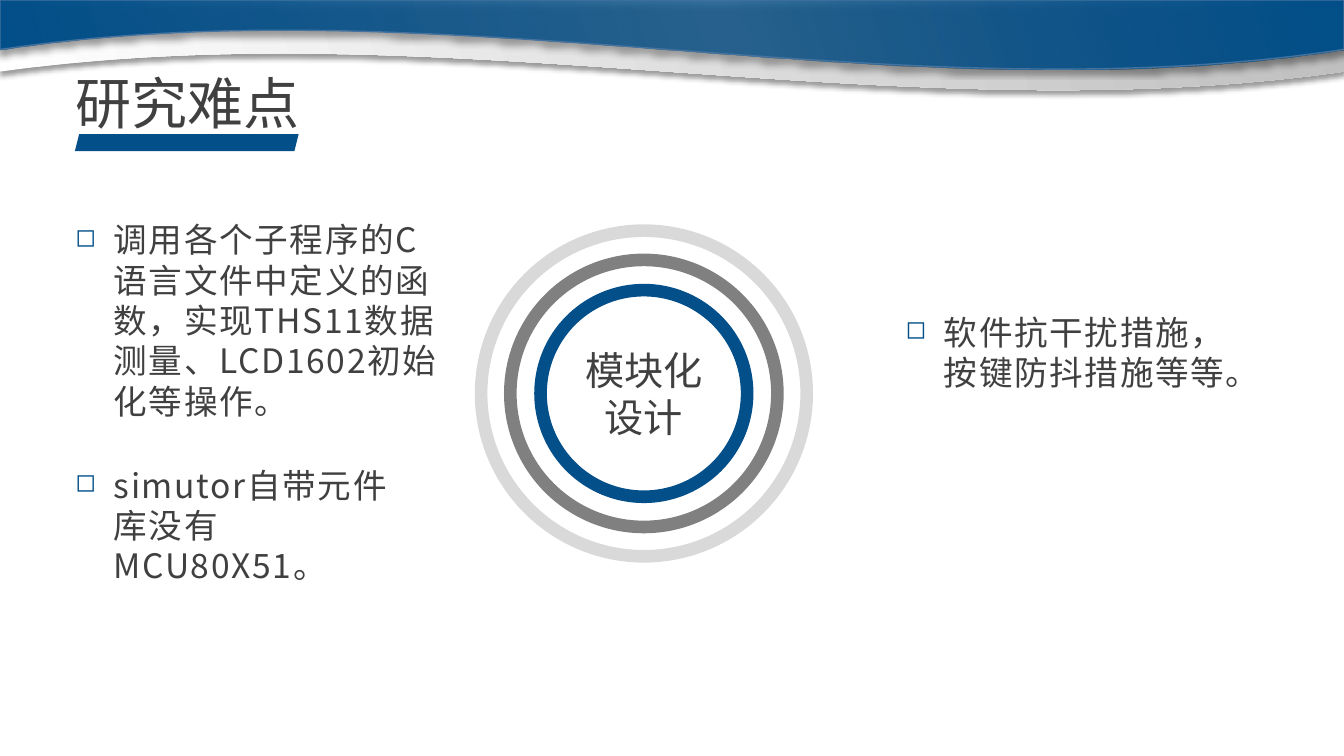
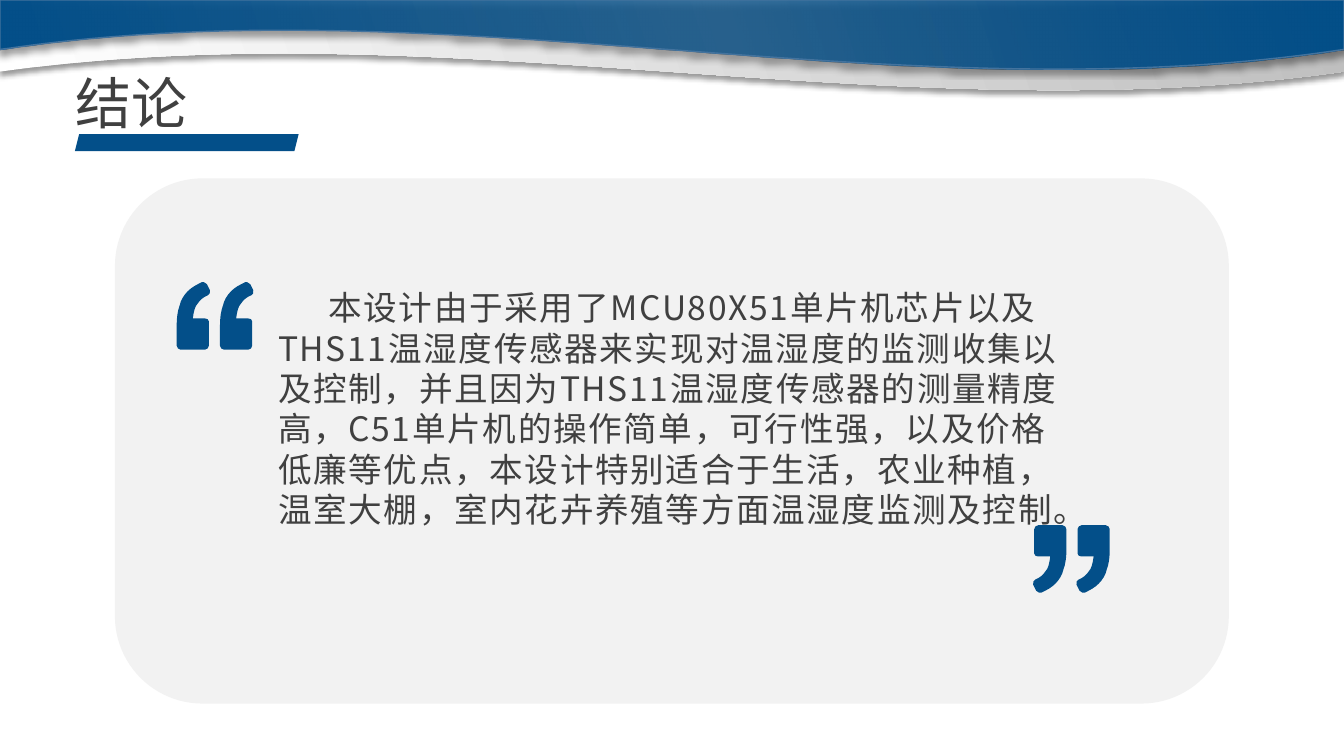
from lxml.etree import Element, SubElement
from pptx import Presentation
from pptx.dml.color import RGBColor
from pptx.enum.shapes import MSO_SHAPE
from pptx.enum.text import MSO_ANCHOR, MSO_AUTO_SIZE, PP_ALIGN
from pptx.oxml import parse_xml
from pptx.oxml.ns import nsdecls, qn
from pptx.util import Inches, Pt

W, H = Inches(40 / 3), Inches(7.5)
BLUE, EDGE, INK, GRAY, SILVER, PANEL = '034F89', '43739E', '404040', '808080', 'D9D9D9', 'F2F2F2'
FONT = 'Noto Sans CJK SC'
QUOTE = [
    (27, 0), (28, 1, 29, 1, 30, 2), (33, 8), (33, 10, 33, 13, 31, 13), (26, 15, 23, 18, 21, 21),
    (18, 24, 17, 29, 16, 36), (28, 36), (30, 36, 32, 37, 32, 39), (32, 63),
    (32, 65, 30, 67, 28, 67), (4, 67), (2, 67, 0, 65, 0, 63), (0, 44),
    (0, 35, 1, 28, 3, 23), (4, 18, 7, 13, 11, 9), (15, 5, 19, 3, 25, 0), (26, 0, 27, 0, 27, 0),
]


def rgb(color):
    return RGBColor.from_string(color)


def box(left, top, width, height):
    """Percentages of the slide's width and height to lengths."""
    return [round(v * side / 100) for v, side in zip((left, top, width, height), (W, H, W, H))]


def paint(sp, fill=None, line=None, width=1):
    sp.shadow.inherit = False
    if fill:
        sp.fill.solid()
        sp.fill.fore_color.rgb = rgb(fill)
    else:
        sp.fill.background()
    if line:
        sp.line.color.rgb = rgb(line)
        sp.line.width = Pt(width)
    else:
        sp.line.fill.background()
    return sp


def paint_gradient(sp, stops, angle):
    gs = ''.join(f'<a:gs pos="{pos * 1000}"><a:srgbClr val="{color}">'
                 f'<a:alpha val="{alpha * 1000}"/></a:srgbClr></a:gs>'
                 for pos, color, alpha in stops)
    spPr = sp.element.spPr
    spPr.replace(spPr.find(qn('a:noFill')), parse_xml(
        f'<a:gradFill {nsdecls("a")} rotWithShape="1"><a:gsLst>{gs}</a:gsLst>'
        f'<a:lin ang="{angle * 60000}" scaled="0"/></a:gradFill>'))


def cast_shadow(sp, alpha=40, blur=4, dist=3):
    sp.element.spPr.find(qn('a:effectLst')).append(parse_xml(
        f'<a:outerShdw {nsdecls("a")} blurRad="{Pt(blur)}" dist="{Pt(dist)}" dir="5400000"'
        f' algn="t" rotWithShape="0"><a:srgbClr val="000000">'
        f'<a:alpha val="{alpha * 1000}"/></a:srgbClr></a:outerShdw>'))


def add_outline(s, contours, ux, uy):
    """Contours list a start, then line ends (pairs) and cubic curves (sextuples)."""
    scaled = [[[v * (uy if i % 2 else ux) for i, v in enumerate(seg)] for seg in contour]
              for contour in contours]
    builder = s.shapes.build_freeform(*scaled[0][0], scale=1.0)
    for i, contour in enumerate(scaled):
        if i:
            builder.move_to(*contour[0])
        builder.add_line_segments([seg[-2:] for seg in contour[1:]], close=True)
    sp = builder.convert_to_shape()
    segments = [seg for contour in scaled for seg in contour[1:]]
    for node, seg in zip(list(sp.element.iter(qn('a:lnTo'))), segments):
        if len(seg) == 6:
            node.tag = qn('a:cubicBezTo')
            for i in (0, 1):
                pt = Element(qn('a:pt'))
                pt.set('x', str(round(seg[2 * i] - sp.left)))
                pt.set('y', str(round(seg[2 * i + 1] - sp.top)))
                node.insert(i, pt)
    return sp


def add_band(s, edge, curve, height, stops, line=None):
    outline = [(0, 0), (100, 0), (100, edge), curve, (0, edge), (0, 0)]
    sp = paint(add_outline(s, [outline], W / 100, H / 100), line=line)
    sp.height = round(H * height / 100)
    next(sp.element.iter(qn('a:path'))).set('h', str(sp.height))
    paint_gradient(sp, stops, 342)
    cast_shadow(sp)
    return sp


def add_shape(s, kind, place, **look):
    return paint(s.shapes.add_shape(kind, *place), **look)


def write(p, text, size, font=FONT, spacing=0):
    p.line_spacing = Pt(size * 1.2)
    r = p.add_run()
    r.text = text
    r.font.size, r.font.name, r.font.color.rgb = Pt(size), font, rgb(INK)
    rPr = r.font._element
    SubElement(rPr, qn('a:ea')).set('typeface', FONT)
    if spacing:
        rPr.set('spc', str(round(spacing * 100)))


def add_text(s, place, text, margin=0, indent=0, bullet=None):
    tf = s.shapes.add_textbox(*place).text_frame
    tf.word_wrap = True
    tf.auto_size = MSO_AUTO_SIZE.SHAPE_TO_FIT_TEXT
    p = tf.paragraphs[0]
    pPr = p._p.get_or_add_pPr()
    pPr.set('marL', str(Inches(margin)))
    pPr.set('indent', str(Inches(indent)))
    if bullet:
        SubElement(SubElement(pPr, qn('a:buClr')), qn('a:srgbClr')).set('val', BLUE)
        SubElement(pPr, qn('a:buSzPct')).set('val', '75000')
        SubElement(pPr, qn('a:buChar')).set('char', bullet)
    write(p, text, 24, spacing=1.2)


def add_ring(s, diameter, color):
    d = H * diameter / 100
    place = [round(v) for v in (W * 0.4791 - d / 2, H * 0.5205 - d / 2, d, d)]
    return add_shape(s, MSO_SHAPE.OVAL, place, line=color, width=9)


def add_quote_mark(s, left, top, rotation=0):
    twin = [[v + 43 * (i % 2 == 0) for i, v in enumerate(seg)] for seg in QUOTE]
    sp = paint(add_outline(s, [twin, QUOTE], H / 750, H / 750), fill=BLUE)
    sp.left, sp.top = box(left, top, 0, 0)[:2]
    sp.rotation = rotation


def set_title(s, text):
    p = s.shapes.title.text_frame.paragraphs[0]
    p.alignment = PP_ALIGN.JUSTIFY
    write(p, text, 40)


def dress_layout(layout, s):
    """Draws the shared parts on s and moves them to the layout."""
    for ph in list(layout.placeholders):
        if ph.placeholder_format.idx:
            layout.shapes.element.remove(ph.element)
            continue
        ph.left, ph.top, ph.width, ph.height = box(4.88, 8.4, 18.22, 10.27)
        tf = ph.text_frame
        tf.vertical_anchor = MSO_ANCHOR.TOP
        tf.auto_size = MSO_AUTO_SIZE.SHAPE_TO_FIT_TEXT
        tf.word_wrap = True
    shared = [
        add_band(s, 9.47, (66.84, 17.87, 33.76, 1.33, 0.6, 9.33), 11.87,
                 [(0, 'FFFFFF', 100), (100, 'BFBFBF', 100)]),
        add_band(s, 6.53, (66.84, 15.47, 33.76, -2.13, 0.6, 6.4), 9.2,
                 [(0, BLUE, 100), (54, BLUE, 75), (100, BLUE, 100)], line=EDGE),
        add_shape(s, MSO_SHAPE.PARALLELOGRAM, box(5.57, 17.73, 16.65, 2.27), fill=BLUE),
    ]
    for i, sp in enumerate(shared):
        layout.shapes.element.insert(2 + i, sp.element)


def build_difficulties(s):
    set_title(s, '研究难点')
    core = add_ring(s, 27.33, BLUE)
    add_ring(s, 35.33, GRAY)
    add_ring(s, 43.07, SILVER)
    tf = core.text_frame
    tf.word_wrap = True
    tf.vertical_anchor = MSO_ANCHOR.MIDDLE
    p = tf.paragraphs[0]
    p.alignment = PP_ALIGN.CENTER
    write(p, '模块化设计', 28, 'Arial')
    for place, text in [
        (box(4.87, 28.35, 29.1, 28.27),
         '调用各个子程序的C语言文件中定义的函数，实现THS11数据测量、LCD1602初始化等操作。'),
        (box(4.87, 60.8, 27.37, 12.13), 'simutor自带元件库没有MCU80X51。'),
        (box(66.65, 40.58, 25.87, 12.13), '软件抗干扰措施，按键防抖措施等等。'),
    ]:
        add_text(s, place, text, margin=0.38, indent=-0.38, bullet='◻')


def build_conclusion(s):
    set_title(s, '结论')
    add_shape(s, MSO_SHAPE.ROUNDED_RECTANGLE, box(8.55, 23.6, 82.88, 69.47), fill=PANEL)
    add_text(s, box(19.95, 37.33, 60.08, 33.6),
             '本设计由于采用了MCU80X51单片机芯片以及THS11温湿度传感器来实现对温湿度的监测收集'
             '以及控制，并且因为THS11温湿度传感器的测量精度高，C51单片机的操作简单，可行性强，'
             '以及价格低廉等优点，本设计特别适合于生活，农业种植，温室大棚，室内花卉养殖等方面'
             '温湿度监测及控制。', indent=0.5)
    add_quote_mark(s, 13.15, 37.33)
    add_quote_mark(s, 76.87, 69.47, rotation=180)


def main():
    prs = Presentation()
    prs.slide_width, prs.slide_height = W, H
    layout = prs.slide_layouts[5]
    first, second = [prs.slides.add_slide(layout) for _ in range(2)]
    dress_layout(layout, first)
    build_difficulties(first)
    build_conclusion(second)
    prs.save('out.pptx')


if __name__ == '__main__':
    main()
